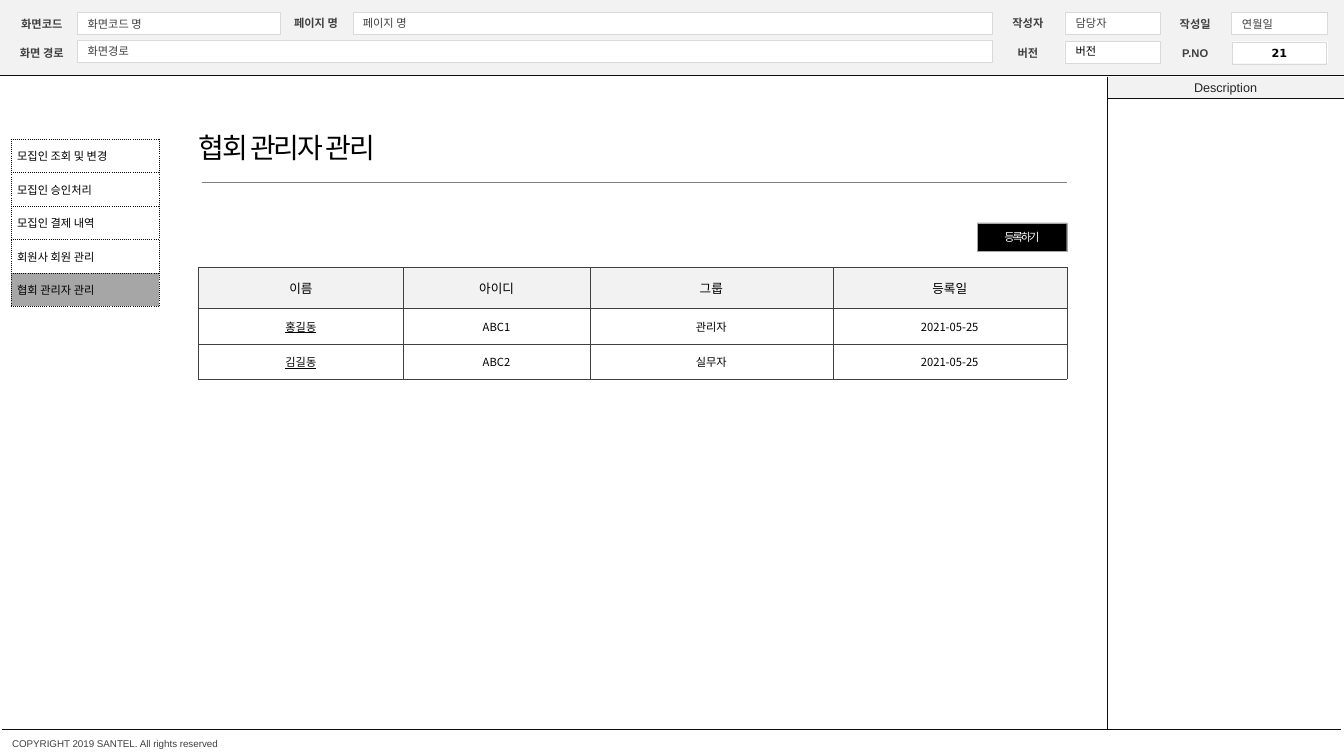
from lxml.etree import SubElement
from pptx import Presentation
from pptx.dml.color import RGBColor
from pptx.enum.dml import MSO_LINE
from pptx.enum.shapes import MSO_CONNECTOR, MSO_SHAPE
from pptx.enum.text import MSO_ANCHOR, MSO_AUTO_SIZE, PP_ALIGN
from pptx.oxml.ns import qn
from pptx.util import Inches, Pt

HEX = {"black": "000000", "ink": "0D0D0D", "dark": "262626", "text": "404040",
       "gray": "808080", "mid": "A6A6A6", "edge": "D9D9D9", "pale": "F2F2F2",
       "white": "FFFFFF"}
COLOR = {name: RGBColor.from_string(code) for name, code in HEX.items()}
LEFT, CENTER = PP_ALIGN.LEFT, PP_ALIGN.CENTER
TOP, MIDDLE = MSO_ANCHOR.TOP, MSO_ANCHOR.MIDDLE

deck = Presentation()
deck.slide_width, deck.slide_height = Inches(13.33), Inches(7.5)
slide = deck.slides.add_slide(deck.slide_layouts[6])
shapes = slide.shapes


def write(frame, text, size=8, color="text", font="Arial", align=LEFT,
          anchor=TOP, inset=None, bold=False, line=False, tight=False):
    frame.text = text
    frame.word_wrap = True
    frame.vertical_anchor = anchor
    if inset:
        frame.margin_left = frame.margin_right = Inches(inset[0])
        frame.margin_top = frame.margin_bottom = Inches(inset[1])
    para = frame.paragraphs[0]
    para.alignment = align
    run = para.runs[0]
    run.font.size, run.font.name = Pt(size), font
    run.font.bold, run.font.underline = bold, line
    run.font.color.rgb = COLOR[color]
    props = run._r.get_or_add_rPr()
    SubElement(props, qn("a:ea"), typeface="Noto Sans CJK KR")
    if tight:
        props.set("spc", "-150")


def box(area, fill=None, edge=None, width=0.25, kind=MSO_SHAPE.RECTANGLE):
    shape = shapes.add_shape(kind, *map(Inches, area))
    shape.shadow.inherit = False
    if fill:
        shape.fill.solid()
        shape.fill.fore_color.rgb = COLOR[fill]
    else:
        shape.fill.background()
    if edge:
        shape.line.color.rgb = COLOR[edge]
        shape.line.width = Pt(width)
    else:
        shape.line.fill.background()
    return shape


box((0, 0, 13.33, 0.75), "pale")
for x, y, wide, edge in [
    (0.77, 0.12, 2.01, "edge"), (0.77, 0.4, 9.07, "edge"),
    (3.5, 0.12, 6.34, "edge"), (10.56, 0.12, 0.95, "edge"),
    (12.21, 0.12, 0.95, "edge"), (10.56, 0.41, 0.95, "edge"),
    (12.22, 0.41, 0.95, None),
]:
    field = box((x, y, wide, 0.22), "white", edge,
                kind=MSO_SHAPE.ROUNDED_RECTANGLE)
    field.adjustments[0] = 0

for text, x, y in [
    ("화면코드", 0.06, 0.17), ("화면 경로", 0.06, 0.46), ("페이지 명", 2.78, 0.16),
    ("작성자", 9.84, 0.16), ("작성일", 11.5, 0.17),
    ("버전", 9.84, 0.46), ("P.NO", 11.5, 0.46),
]:
    label = shapes.add_textbox(Inches(x), Inches(y), Inches(0.71), Inches(0.13))
    write(label.text_frame, text, align=CENTER, inset=(0, 0), bold=True)
    label.text_frame.auto_size = MSO_AUTO_SIZE.SHAPE_TO_FIT_TEXT

for text, area, anchor, color in [
    ("화면코드 명", (0.77, 0.12, 2.02, 0.24), TOP, "text"),
    ("페이지 명", (3.5, 0.11, 6.34, 0.24), MIDDLE, "text"),
    ("화면경로", (0.77, 0.4, 9.07, 0.22), MIDDLE, "text"),
    ("담당자", (10.57, 0.11, 0.94, 0.24), TOP, "text"),
    ("연월일", (12.22, 0.12, 0.94, 0.24), TOP, "text"),
    ("버전", (10.57, 0.39, 0.94, 0.24), TOP, "black"),
]:
    value = shapes.add_textbox(*map(Inches, area))
    write(value.text_frame, text, color=color, anchor=anchor)

page = box((12.22, 0.42, 0.94, 0.22), edge="edge", width=0.75)
write(page.text_frame, "21", color="black", font="DejaVu Sans", align=CENTER,
      anchor=MIDDLE, inset=(0, 0), bold=True)
panel = box((10.98, 0.76, 2.35, 0.22), "pale")
write(panel.text_frame, "Description", 9, "dark", align=CENTER, anchor=MIDDLE)

for ends, color, width, dash in [
    ((0, 0.75, 13.33, 0.75), "ink", 0.25, MSO_LINE.ROUND_DOT),
    ((10.98, 0.97, 13.33, 0.97), "ink", 0.25, MSO_LINE.ROUND_DOT),
    ((10.98, 0.76, 10.98, 7.23), "ink", 0.25, MSO_LINE.ROUND_DOT),
    ((0.02, 7.23, 13.29, 7.23), "ink", 0.25, MSO_LINE.ROUND_DOT),
    ((2, 1.81, 10.58, 1.81), "gray", 0.75, MSO_LINE.SOLID),
]:
    rule = shapes.add_connector(MSO_CONNECTOR.STRAIGHT, *map(Inches, ends))
    rule.line.color.rgb = COLOR[color]
    rule.line.width = Pt(width)
    rule.line.dash_style = dash
    SubElement(rule._element.spPr, qn("a:effectLst"))

foot = shapes.add_textbox(Inches(0.12), Inches(7.32), Inches(3.65), Inches(0.12))
write(foot.text_frame, "COPYRIGHT 2019 SANTEL. All rights reserved", 7,
      inset=(0, 0))
title = shapes.add_textbox(Inches(1.87), Inches(1.25), Inches(2.32), Inches(0.44))
write(title.text_frame, "협회 관리자 관리", 20, "black", tight=True)
for item in (foot, title):
    item.text_frame.auto_size = MSO_AUTO_SIZE.SHAPE_TO_FIT_TEXT

button = box((9.69, 2.21, 0.89, 0.28), "black", "mid")
write(button.text_frame, "등록하기", color="white", align=CENTER, anchor=MIDDLE,
      inset=(0, 0.05), tight=True)

people = [["이름", "아이디", "그룹", "등록일"],
          ["홍길동", "ABC1", "관리자", "2021-05-25"],
          ["김길동", "ABC2", "실무자", "2021-05-25"]]
menu = [["모집인 조회 및 변경"], ["모집인 승인처리"], ["모집인 결제 내역"],
        ["회원사 회원 관리"], ["협회 관리자 관리"]]
for data, x, y, cols, rows, edge, width, dash in [
    (people, 1.97, 2.65, [2.03, 1.85, 2.41, 2.32], [0.41, 0.35, 0.35],
     "text", 0.25, "solid"),
    (menu, 0.11, 1.38, [1.47], [1.66 / 5] * 5, "ink", 0.5, "sysDot"),
]:
    grid = shapes.add_table(len(rows), len(cols), Inches(x), Inches(y),
                            Inches(sum(cols)), Inches(sum(rows))).table
    grid.first_row = grid.horz_banding = False
    for col, size in zip(grid.columns, cols):
        col.width = Inches(size)
    for row, size in zip(grid.rows, rows):
        row.height = Inches(size)
    for r, line in enumerate(data):
        for c, text in enumerate(line):
            cell = grid.cell(r, c)
            cell.vertical_anchor = MIDDLE
            if data is menu:
                write(cell.text_frame, text, color="black")
                cell.margin_left = Inches(0.06)
                cell.margin_right = Inches(0.02)
                cell.margin_top = cell.margin_bottom = Inches(0.02)
                fill = [None, None, "white", "white", "mid"][r]
            else:
                write(cell.text_frame, text, 8 if r else 9, "black",
                      "Noto Sans CJK KR", CENTER, line=r > 0 and c == 0)
                fill = None if r else "pale"
            props = cell._tc.get_or_add_tcPr()
            for side in ("lnL", "lnR", "lnT", "lnB"):
                border = SubElement(props, qn("a:" + side), w=str(Pt(width)))
                paint = SubElement(border, qn("a:solidFill"))
                SubElement(paint, qn("a:srgbClr"), val=HEX[edge])
                SubElement(border, qn("a:prstDash"), val=dash)
            if fill:
                cell.fill.solid()
                cell.fill.fore_color.rgb = COLOR[fill]
            else:
                cell.fill.background()

deck.save("out.pptx")
